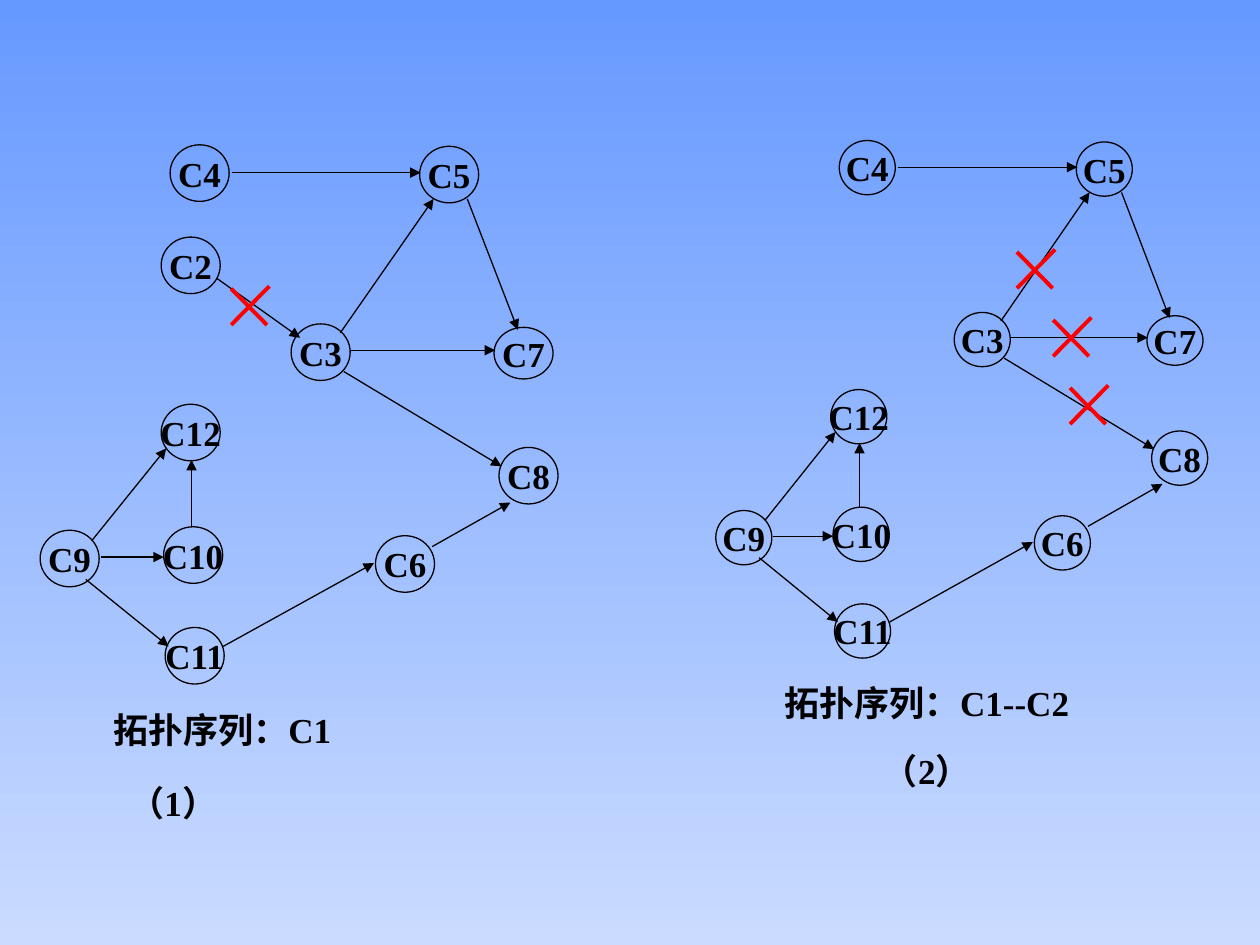
from lxml import etree
from pptx import Presentation
from pptx.dml.color import RGBColor
from pptx.enum.shapes import MSO_CONNECTOR, MSO_SHAPE
from pptx.enum.text import MSO_ANCHOR, PP_ALIGN
from pptx.oxml.ns import qn
from pptx.util import Cm, Pt

STRAIGHT = MSO_CONNECTOR.STRAIGHT
OVAL = MSO_SHAPE.OVAL
MIDDLE = MSO_ANCHOR.MIDDLE
LEFT, CENTER = PP_ALIGN.LEFT, PP_ALIGN.CENTER

BLACK = RGBColor(0x00, 0x00, 0x00)
RED = RGBColor(0xFF, 0x00, 0x00)
SKY = RGBColor(0x66, 0x99, 0xFF)
PALE = RGBColor(0xCA, 0xDB, 0xFF)
FONT = "Times New Roman"

# All lengths are in centimetres.
NODE_W, NODE_H, C7_H = 1.19, 1.14, 1.04
NODES = {
    "C2": (3.25, 4.78), "C3": (5.87, 6.53), "C4": (3.43, 2.92),
    "C5": (8.46, 2.95), "C6": (7.57, 10.8), "C7": (9.96, 6.6),
    "C8": (10.06, 9.02), "C9": (0.81, 10.69), "C10": (3.3, 10.62),
    "C11": (3.33, 12.65), "C12": (3.25, 8.15),
}
# (start node, end node): (x1, y1, x2, y2)
EDGES = {
    ("C2", "C3"): (4.37, 5.61, 6.05, 6.81),
    ("C4", "C5"): (4.67, 3.48, 8.48, 3.48),
    ("C3", "C5"): (6.86, 6.71, 8.74, 4.01),
    ("C3", "C7"): (7.06, 7.06, 9.98, 7.06),
    ("C5", "C7"): (9.42, 4.01, 10.44, 6.65),
    ("C9", "C12"): (1.85, 10.9, 3.35, 9.04),
    ("C9", "C10"): (2.03, 11.23, 3.3, 11.23),
    ("C10", "C12"): (3.86, 10.62, 3.86, 9.27),
    ("C9", "C11"): (1.73, 11.68, 3.4, 13.03),
    ("C11", "C6"): (4.5, 13.03, 7.54, 11.35),
    ("C6", "C8"): (8.71, 11.02, 10.29, 10.13),
    ("C3", "C8"): (6.93, 7.49, 10.11, 9.4),
}
# Each step draws the same graph, shifted and scaled, without removed nodes.
STEPS = [
    {"offset": (0, 0), "scale": (1, 1), "removed": set(),
     "captions": [("拓扑序列：C1", 2.03, 14.15, 5.08),
                  ("（1）", 2.36, 15.62, 2.62)],
     "crosses": [(4.66, 5.77)]},
    {"offset": (13.66, 0.03), "scale": (0.95, 0.96), "removed": {"C2"},
     "captions": [("拓扑序列：C1--C2", 15.57, 13.61, 6.8),
                  ("（2）", 17.55, 14.99, 2.62)],
     "crosses": [(20.5, 5.03), (21.23, 6.4), (21.57, 7.77)]},
]
CROSS_STROKES = [(0, 0.05, 0.72, 0.78), (0.77, 0, 0, 0.78)]
CAPTION_H = 1.11


def write_text(sp, text, *, align=LEFT, size=20, bold=True, color=BLACK):
    tf = sp.text_frame
    tf.word_wrap = False
    p = tf.paragraphs[0]
    p.alignment = align
    r = p.add_run()
    r.text = text
    r.font.name, r.font.size, r.font.bold = FONT, Pt(size), bold
    r.font.color.rgb = color


def add_line(shapes, ends, *, color=BLACK, width=0.75, arrow=False):
    line = shapes.add_connector(STRAIGHT, *(Cm(v) for v in ends))
    line.line.color.rgb = color
    line.line.width = Pt(width)
    if arrow:
        ln = line.line._get_or_add_ln()
        etree.SubElement(ln, qn("a:tailEnd"), type="triangle")
    etree.SubElement(line._element.spPr, qn("a:effectLst"))


def add_node(shapes, name, x, y, w, h):
    sp = shapes.add_shape(OVAL, Cm(x), Cm(y), Cm(w), Cm(h))
    sp.shadow.inherit = False
    sp.fill.background()
    sp.line.color.rgb = BLACK
    sp.line.width = Pt(0.75)
    sp.text_frame.vertical_anchor = MIDDLE
    write_text(sp, name, align=CENTER)


def add_step(shapes, step):
    (dx, dy), (sx, sy) = step["offset"], step["scale"]
    for name, (x, y) in NODES.items():
        if name not in step["removed"]:
            h = C7_H if name == "C7" else NODE_H
            add_node(shapes, name, dx + sx * x, dy + sy * y, sx * NODE_W, sy * h)
    for pair, (x1, y1, x2, y2) in EDGES.items():
        if step["removed"].isdisjoint(pair):
            ends = (dx + sx * x1, dy + sy * y1, dx + sx * x2, dy + sy * y2)
            add_line(shapes, ends, arrow=True)
    for text, x, y, w in step["captions"]:
        write_text(shapes.add_textbox(Cm(x), Cm(y), Cm(w), Cm(CAPTION_H)), text)
    for x, y in step["crosses"]:
        for x1, y1, x2, y2 in CROSS_STROKES:
            add_line(shapes, (x + x1, y + y1, x + x2, y + y2), color=RED, width=2.25)


def main():
    prs = Presentation()
    prs.slide_width, prs.slide_height = Cm(25.4), Cm(19.05)
    s = prs.slides.add_slide(prs.slide_layouts[6])
    fill = s.background.fill
    fill.gradient()
    fill.gradient_angle = 270
    for stop, position, color in zip(fill.gradient_stops, (0, 1), (SKY, PALE)):
        stop.position = position
        stop.color.rgb = color
    for step in STEPS:
        add_step(s.shapes, step)
    prs.save("out.pptx")


if __name__ == "__main__":
    main()
